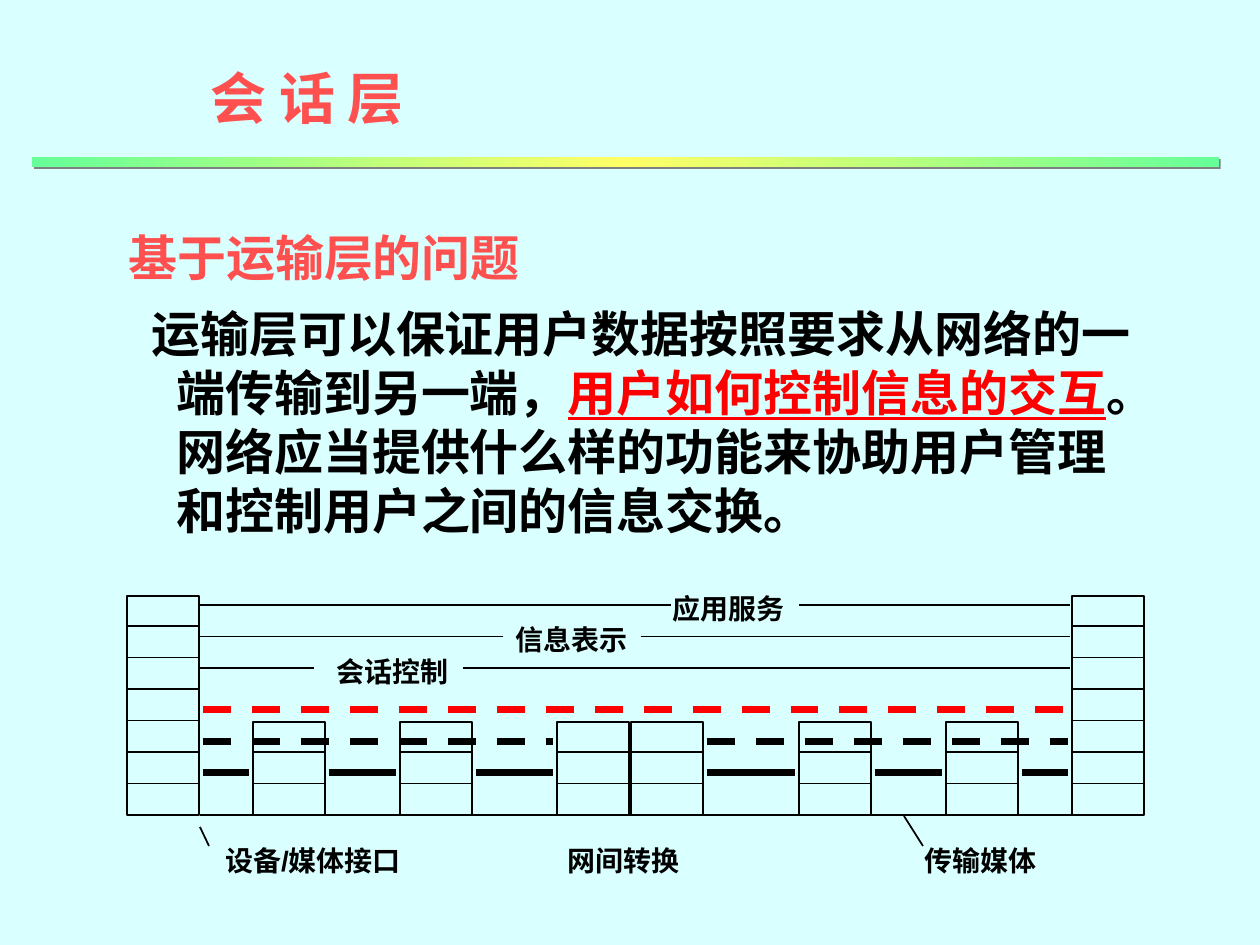
import itertools
from dataclasses import dataclass

import pptx
import pptx.dml.color
import pptx.enum.dml
import pptx.enum.shapes
import pptx.enum.text
import pptx.oxml
import pptx.oxml.ns
import pptx.util
from lxml import etree

SCALE = 914400 / 126


@dataclass(frozen=True)
class Theme:
    background: str = "D9FFFF"
    ink: str = "000000"
    heading: str = "FF5050"
    accent: str = "FF0000"
    bar_edge: str = "66FF99"
    bar_middle: str = "FFFF66"
    bar_shadow: str = "808080"
    heading_font: str = "Noto Sans CJK SC"
    label_font: str = "Arial"
    title_size: int = 32
    body_size: int = 28
    label_size: int = 16
    thin: int = 1
    thick: int = 4


def px(length):
    return pptx.util.Emu(round(length * SCALE))


def rgb(value):
    return pptx.dml.color.RGBColor.from_string(value)


class Deck:
    """Draws styled elements on the current slide."""

    def __init__(self, theme):
        self.theme = theme
        self.presentation = pptx.Presentation()
        self.presentation.slide_width = px(1260)
        self.presentation.slide_height = px(945)
        self.slide = None

    def add_slide(self):
        self.slide = self.presentation.slides.add_slide(self.presentation.slide_layouts[6])
        self.slide.background.fill.solid()
        self.slide.background.fill.fore_color.rgb = rgb(self.theme.background)

    def line(self, x1, y1, x2, y2, color=None, width=None, dashed=False):
        connector = self.slide.shapes.add_connector(
            pptx.enum.shapes.MSO_CONNECTOR.STRAIGHT, px(x1), px(y1), px(x2), px(y2))
        connector.line.color.rgb = rgb(color or self.theme.ink)
        connector.line.width = pptx.util.Pt(width or self.theme.thin)
        if dashed:
            connector.line.dash_style = pptx.enum.dml.MSO_LINE.DASH
        etree.SubElement(connector.element.spPr, pptx.oxml.ns.qn("a:effectLst"))

    def rectangle(self, left, top, width, height):
        rectangle = self.slide.shapes.add_shape(
            pptx.enum.shapes.MSO_SHAPE.RECTANGLE, px(left), px(top), px(width), px(height))
        rectangle.shadow.inherit = False
        return rectangle

    def stack(self, left, top, bottom, width, dividers):
        outline = self.rectangle(left, top, width, bottom - top)
        outline.fill.background()
        outline.line.color.rgb = rgb(self.theme.ink)
        outline.line.width = pptx.util.Pt(self.theme.thin)
        for y in dividers:
            self.line(left, y, left + width, y)

    def gradient_bar(self, left, top, width, height):
        bar = self.rectangle(left, top, width, height)
        bar.line.fill.background()
        bar.fill.gradient()
        bar.fill.gradient_angle = 0
        namespace = pptx.oxml.ns.nsdecls("a")
        stops = bar.element.spPr.find(".//" + pptx.oxml.ns.qn("a:gsLst"))
        for stop in list(stops):
            stops.remove(stop)
        edge, middle = self.theme.bar_edge, self.theme.bar_middle
        for position, color in ((0, edge), (50, middle), (100, edge)):
            stops.append(pptx.oxml.parse_xml(
                f'<a:gs {namespace} pos="{position * 1000}"><a:srgbClr val="{color}"/></a:gs>'))
        bar.element.spPr.find(pptx.oxml.ns.qn("a:effectLst")).append(pptx.oxml.parse_xml(
            f'<a:outerShdw {namespace} dist="{pptx.util.Pt(1.4)}" dir="2700000" algn="ctr" '
            f'rotWithShape="0"><a:srgbClr val="{self.theme.bar_shadow}"/></a:outerShdw>'))

    def text_box(self, left, top, width, height, wrap=False):
        box = self.slide.shapes.add_textbox(px(left), px(top), px(width), px(height))
        box.text_frame.word_wrap = wrap
        if not wrap:
            box.text_frame.auto_size = pptx.enum.text.MSO_AUTO_SIZE.SHAPE_TO_FIT_TEXT
        return box.text_frame

    def style(self, run, size, color, font):
        run.font.size = pptx.util.Pt(size)
        run.font.bold = True
        run.font.color.rgb = rgb(color)
        run.font.name = font
        east_asian = etree.SubElement(run._r.get_or_add_rPr(), pptx.oxml.ns.qn("a:ea"))
        east_asian.set("typeface", self.theme.heading_font)

    def title(self, text, left, top, width, height):
        frame = self.text_box(left, top, width, height)
        frame.text = text
        self.style(frame.paragraphs[0].runs[0], self.theme.title_size,
                   self.theme.heading, self.theme.heading_font)

    def label(self, text, left, top, width=137):
        frame = self.text_box(left, top, width, 45)
        frame.text = text
        self.style(frame.paragraphs[0].runs[0], self.theme.label_size,
                   self.theme.ink, self.theme.label_font)

    def body(self, heading, passages, left, top, width, height):
        frame = self.text_box(left, top, width, height, wrap=True)
        frame.text = heading
        question = frame.paragraphs[0]
        question.space_after = pptx.util.Pt(3)
        self.style(question.runs[0], self.theme.body_size,
                   self.theme.heading, self.theme.heading_font)
        explanation = frame.add_paragraph()
        explanation.space_before = pptx.util.Pt(7)
        for paragraph, indent in ((question, -48), (explanation, -25)):
            paragraph._p.get_or_add_pPr().set("marL", str(px(48)))
            paragraph._p.get_or_add_pPr().set("indent", str(px(indent)))
        for text, color, underlined in passages:
            run = explanation.add_run()
            run.text = text
            self.style(run, self.theme.body_size, color, self.theme.heading_font)
            run.font.underline = underlined


def main():
    theme = Theme()
    deck = Deck(theme)
    deck.add_slide()
    deck.body("基于运输层的问题", (
        ("运输层可以保证用户数据按照要求从网络的一端传输到另一端，", theme.ink, False),
        ("用户如何控制信息的交互", theme.accent, True),
        ("。网络应当提供什么样的功能来协助用户管理和控制用户之间的信息交换。", theme.ink, False),
    ), 116, 221, 1029, 462)
    deck.gradient_bar(32, 157, 1187, 10)
    deck.title("会 话 层", 198, 57, 249, 81)

    stack_width, bottom, gap = 72, 815, 4
    dividers = [626 + 31.5 * row for row in range(6)]
    hosts = (127, 1072)
    relays = (253, 400, 557, 631, 799, 946)
    for left in hosts:
        deck.stack(left, 596, bottom, stack_width, dividers)
    for left in relays:
        deck.stack(left, 722, bottom, stack_width, dividers[-2:])
    deck.line(200, bottom, 1081, bottom)

    for left, right in itertools.pairwise(sorted(hosts + relays)):
        if right - left > stack_width + 2 * gap:
            deck.line(left + stack_width + gap, 773, right - gap, 773, width=theme.thick)
    for start, end, y, color in ((203, 553, 742, theme.ink), (707, 1068, 742, theme.ink),
                                 (203, 1068, 710, theme.accent)):
        deck.line(start, y, end, y, color, theme.thick, dashed=True)

    services = (("应用服务", 660, 671, 799), ("信息表示", 503, 503, 641), ("会话控制", 324, 314, 463))
    for row, (service, left, line_end, line_start) in enumerate(services):
        y = 605 + 31.5 * row
        deck.line(200, y, line_end, y)
        deck.line(line_start, y, 1070, y)
        deck.label(service, left, y - 20)

    deck.line(200, 827, 209, 846)
    deck.line(904, 816, 923, 846)
    deck.label("设备/媒体接口", 213, 837, 214)
    deck.label("网间转换", 555, 837)
    deck.label("传输媒体", 912, 837)
    deck.presentation.save("out.pptx")


if __name__ == "__main__":
    main()
